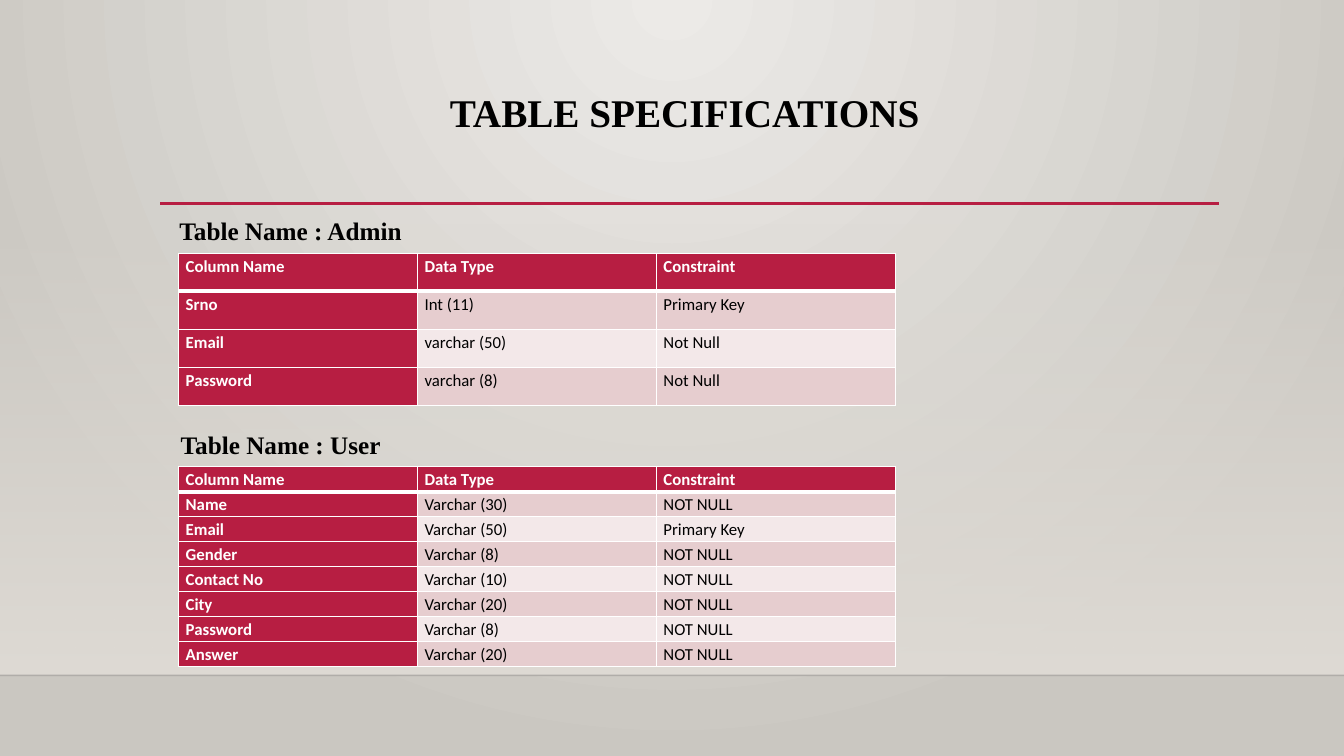
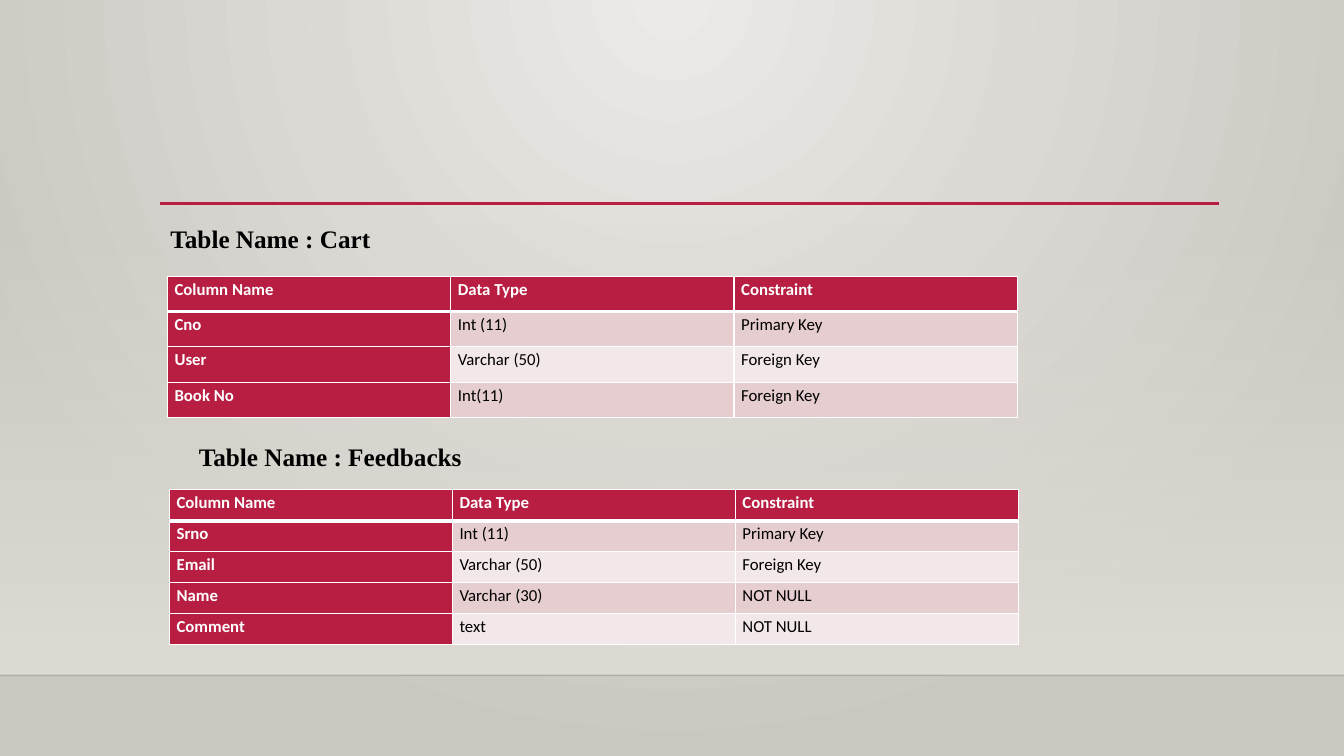
from lxml import etree
from pptx import Presentation
from pptx.dml.color import RGBColor
from pptx.enum.shapes import MSO_CONNECTOR, MSO_SHAPE
from pptx.enum.text import MSO_ANCHOR, PP_ALIGN
from pptx.oxml.ns import qn
from pptx.util import Cm, Pt

CENTER = PP_ALIGN.CENTER
TOP = MSO_ANCHOR.TOP
STRAIGHT = MSO_CONNECTOR.STRAIGHT
RECTANGLE = MSO_SHAPE.RECTANGLE
TITLE_ONLY, BLANK = 5, 6

COLORS = {
    "accent": "B71E42",
    "odd_row": "E6CDCF",
    "even_row": "F3E8E9",
    "glow": "ECEAE7",
    "edge": "CAC7C1",
    "wall": "DFDBD5",
    "floor_line": "000001",
    "text": "000000",
    "light": "FFFFFF",
}
RGB = {name: RGBColor.from_string(value) for name, value in COLORS.items()}

TITLE_FONT = {"name": "Times New Roman", "size": Pt(28), "bold": True}
HEADING_FONT = {"name": "Times New Roman", "size": Pt(18), "bold": True}
LABEL_FONT = {"name": "Calibri", "size": Pt(12), "bold": True}
VALUE_FONT = {"name": "Calibri", "size": Pt(12), "bold": False}
TITLE_PARAGRAPH = {"alignment": CENTER, "line_spacing": 0.9}
HEADING_PARAGRAPH = {"alignment": CENTER}
CELL_PARAGRAPH = {"line_spacing": 1.15, "space_after": Pt(10)}
CELL_MARGINS = {"margin_left": Cm(0.18), "margin_right": Cm(0.18),
                "margin_top": 0, "margin_bottom": 0}

COLUMN_HEADS = ("Column Name", "Data Type", "Constraint")

# Heading box: left, top, width. Grid: left, top, column width, row height. All in cm.
SLIDES = [
    {
        "title": "TABLE SPECIFICATIONS ",
        "specifications": [
            {
                "heading": "Table Name : Admin",
                "heading_box": (4.24, 5.31, 6.17),
                "grid": (4.5, 6.38, 6.02, 0.96),
                "fields": [
                    ("Srno", "Int (11)", "Primary Key"),
                    ("Email", "varchar (50)", "Not Null"),
                    ("Password", "varchar (8)", "Not Null"),
                ],
            },
            {
                "heading": "Table Name : User",
                "heading_box": (4.27, 10.69, 5.61),
                "grid": (4.5, 11.76, 6.02, 0.63),
                "fields": [
                    ("Name", "Varchar (30)", "NOT NULL"),
                    ("Email", "Varchar (50)", "Primary Key"),
                    ("Gender", "Varchar (8)", "NOT NULL"),
                    ("Contact No", "Varchar (10)", "NOT NULL"),
                    ("City", "Varchar (20)", "NOT NULL"),
                    ("Password", "Varchar (8)", "NOT NULL"),
                    ("Answer", "Varchar (20)", "NOT NULL"),
                ],
            },
        ],
    },
    {
        "title": None,
        "specifications": [
            {
                "heading": "Table Name : Cart",
                "heading_box": (4.01, 5.51, 5.61),
                "grid": (4.22, 6.96, 7.14, 0.89),
                "fields": [
                    ("Cno", "Int (11)", "Primary Key"),
                    ("User", "Varchar (50)", "Foreign Key"),
                    ("Book No", "Int(11)", "Foreign Key"),
                ],
            },
            {
                "heading": "Table Name : Feedbacks",
                "heading_box": (4.72, 11, 7.21),
                "grid": (4.27, 12.34, 7.13, 0.78),
                "fields": [
                    ("Srno", "Int (11)", "Primary Key"),
                    ("Email", "Varchar (50)", "Foreign Key"),
                    ("Name", "Varchar (30)", "NOT NULL"),
                    ("Comment", "text", "NOT NULL"),
                ],
            },
        ],
    },
]


def write(frame, text, color, font_format, paragraph_format):
    """Fill a text frame with one formatted paragraph."""
    paragraph = frame.paragraphs[0]
    for name, value in paragraph_format.items():
        setattr(paragraph, name, value)
    run = paragraph.add_run()
    run.text = text
    for name, value in font_format.items():
        setattr(run.font, name, value)
    run.font.color.rgb = RGB[color]


def set_alpha(parent, percent):
    """Set the opacity of the first colour found below an element."""
    color = next(parent.iter(qn("a:srgbClr")))
    etree.SubElement(color, qn("a:alpha")).set("val", str(percent * 1000))


prs = Presentation()
prs.slide_width, prs.slide_height = Cm(33.87), Cm(19.05)
master = prs.slide_master

# Background: a glow from the top centre
background = master.background.fill
background.gradient()
for stop, color in zip(background.gradient_stops, ("glow", "edge")):
    stop.color.rgb = RGB[color]
gradient = next(master.element.iter(qn("a:gradFill")))
gradient.remove(gradient.find(qn("a:lin")))
glow = etree.SubElement(gradient, qn("a:path"))
glow.set("path", "circle")
center = etree.SubElement(glow, qn("a:fillToRect"))
for side, share in {"l": 43, "t": 0, "r": 43, "b": 100}.items():
    center.set(side, str(share * 1000))

slides = [
    prs.slides.add_slide(prs.slide_layouts[TITLE_ONLY if page["title"] else BLANK])
    for page in SLIDES
]

# Wall, floor line and title rule are drawn once and moved to the master
drawing = slides[0].shapes
wall = drawing.add_shape(RECTANGLE, 0, Cm(5.61), prs.slide_width, Cm(11.41))
wall.shadow.inherit = False
wall.line.fill.background()
wall.fill.gradient()
wall.fill.gradient_angle = 270
for stop in wall.fill.gradient_stops:
    stop.color.rgb = RGB["wall"]
set_alpha(wall._element.spPr, 0)

decorations = [wall]
for left, right, top, color, weight in (
    (0, 33.87, 17.02, "floor_line", 1),
    (4.04, 30.73, 5.13, "accent", 2.5),
):
    rule = drawing.add_connector(STRAIGHT, Cm(left), Cm(top), Cm(right), Cm(top))
    rule.line.color.rgb = RGB[color]
    rule.line.width = Pt(weight)
    if color == "floor_line":
        set_alpha(rule._element.spPr, 20)
    etree.SubElement(rule._element.spPr, qn("a:effectLst"))
    decorations.append(rule)

for shape_id, decoration in enumerate(decorations, start=20):
    next(decoration._element.iter(qn("p:cNvPr"))).set("id", str(shape_id))
    master.shapes._spTree.append(decoration._element)

for slide, page in zip(slides, SLIDES):
    if page["title"]:
        title = slide.shapes.title
        title.left, title.top = Cm(4.04), Cm(2.24)
        title.width, title.height = Cm(26.67), Cm(2.92)
        title.text_frame.vertical_anchor = TOP
        write(title.text_frame, page["title"], "text", TITLE_FONT, TITLE_PARAGRAPH)

    for specification in page["specifications"]:
        left, top, width = specification["heading_box"]
        heading = slide.shapes.add_textbox(Cm(left), Cm(top), Cm(width), Cm(1.02))
        heading.text_frame.word_wrap = False
        write(heading.text_frame, specification["heading"], "text",
              HEADING_FONT, HEADING_PARAGRAPH)

        rows = [COLUMN_HEADS, *specification["fields"]]
        left, top, column_width, row_height = specification["grid"]
        table = slide.shapes.add_table(
            len(rows), len(COLUMN_HEADS), Cm(left), Cm(top),
            Cm(column_width * len(COLUMN_HEADS)), Cm(row_height * len(rows)),
        ).table
        table.first_col = True

        for row_index, row in enumerate(rows):
            for column_index, text in enumerate(row):
                cell = table.cell(row_index, column_index)
                for name, value in CELL_MARGINS.items():
                    setattr(cell, name, value)

                # The line between the header and the first field is thicker
                weights = {"L": 1, "R": 1,
                           "T": 3 if row_index == 1 else 1,
                           "B": 3 if row_index == 0 else 1}
                for side, weight in weights.items():
                    border = etree.SubElement(cell._tc.get_or_add_tcPr(), qn(f"a:ln{side}"))
                    border.set("w", str(Pt(weight)))
                    paint = etree.SubElement(border, qn("a:solidFill"))
                    etree.SubElement(paint, qn("a:srgbClr")).set("val", COLORS["light"])

                is_label = row_index == 0 or column_index == 0
                band = "odd_row" if row_index % 2 else "even_row"
                cell.fill.solid()
                cell.fill.fore_color.rgb = RGB["accent" if is_label else band]
                write(cell.text_frame, text, "light" if is_label else "text",
                      LABEL_FONT if is_label else VALUE_FONT, CELL_PARAGRAPH)

prs.save("out.pptx")
